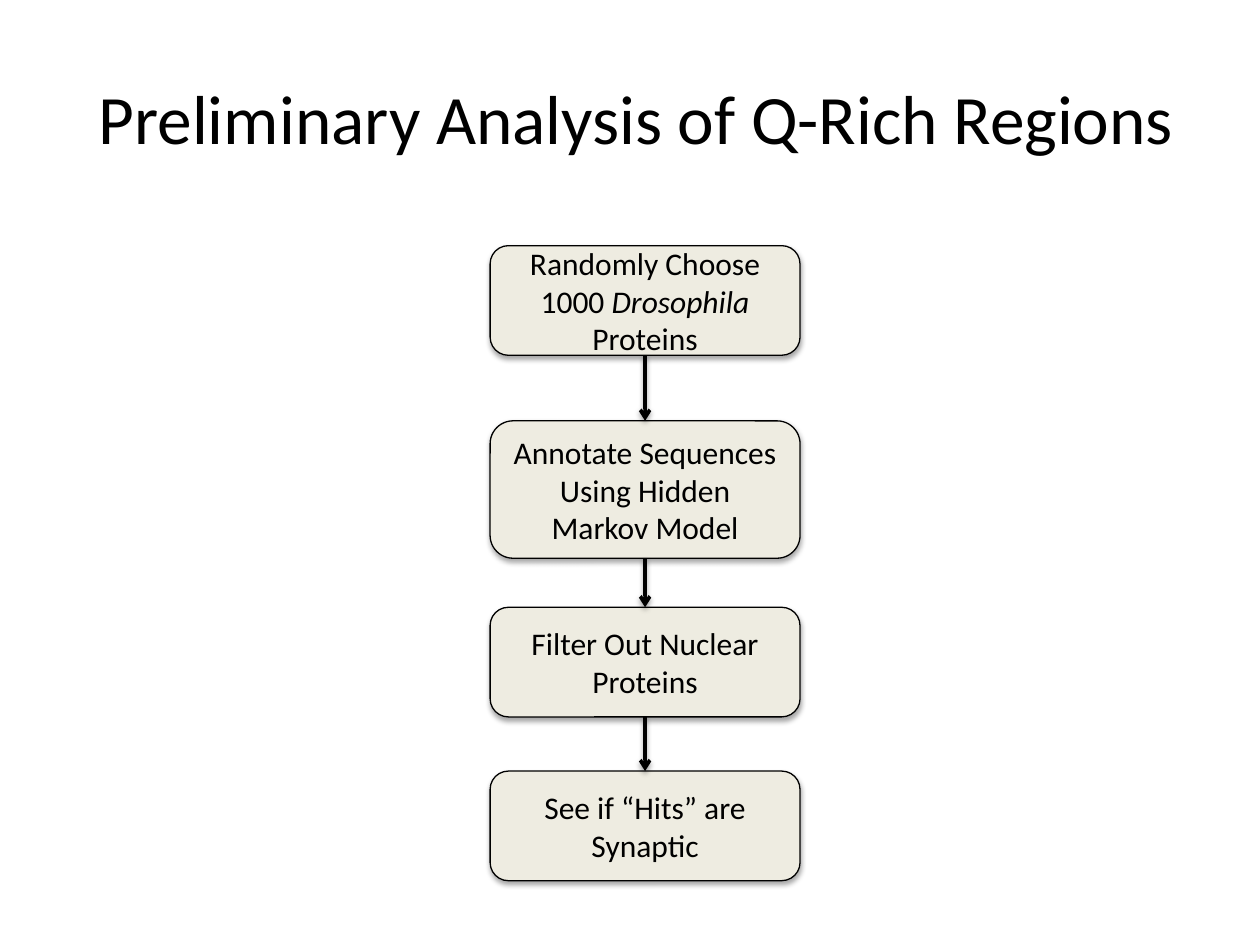
"""Build a slide with a four-step protein analysis flowchart."""
from itertools import pairwise

from lxml.etree import SubElement
from pptx import Presentation
from pptx.dml.color import RGBColor
from pptx.enum.shapes import MSO_CONNECTOR, MSO_SHAPE
from pptx.enum.text import MSO_ANCHOR, PP_ALIGN
from pptx.oxml.ns import qn
from pptx.util import Inches, Pt

TITLE = "Preliminary Analysis of Q-Rich Regions"
STEPS = [
    (1.95, 0.87, [("Randomly Choose 1000 ", False), ("Drosophila", True), (" Proteins", False)]),
    (3.34, 1.09, [("Annotate Sequences Using Hidden Markov Model", False)]),
    (4.82, 0.87, [("Filter Out Nuclear Proteins", False)]),
    (6.12, 0.87, [("See if “Hits” are Synaptic", False)]),
]
STEP_LEFT, STEP_WIDTH = 3.89, 2.46
BLACK, CREAM = "000000", "EEECE1"
BOTTOM_SITE, TOP_SITE = 2, 0


def color(value):
    return RGBColor.from_string(value)


def write_text(shape, runs, size):
    frame = shape.text_frame
    frame.word_wrap = True
    frame.vertical_anchor = MSO_ANCHOR.MIDDLE
    paragraph = frame.paragraphs[0]
    paragraph.alignment = PP_ALIGN.CENTER
    for text, italic in runs:
        run = paragraph.add_run()
        run.text = text
        run.font.name = "Calibri"
        run.font.size = Pt(size)
        run.font.italic = italic
        run.font.color.rgb = color(BLACK)


def add_shadow(effects, distance, opacity):
    shadow = SubElement(effects, qn("a:outerShdw"), blurRad=str(Pt(3.1)),
                        dist=str(Pt(distance)), dir="5400000", rotWithShape="0")
    shade = SubElement(shadow, qn("a:srgbClr"), val=BLACK)
    SubElement(shade, qn("a:alpha"), val=str(opacity * 1000))


def add_step(slide, top, height, runs):
    shape = slide.shapes.add_shape(
        MSO_SHAPE.ROUNDED_RECTANGLE, Inches(STEP_LEFT), Inches(top),
        Inches(STEP_WIDTH), Inches(height))
    shape.fill.solid()
    shape.fill.fore_color.rgb = color(CREAM)
    shape.line.color.rgb = color(BLACK)
    shape.line.width = Pt(0.75)
    shape.shadow.inherit = False
    add_shadow(shape.element.spPr.find(qn("a:effectLst")), 1.8, 35)
    write_text(shape, runs, 18)
    return shape


def add_arrow(slide, upper, lower):
    arrow = slide.shapes.add_connector(MSO_CONNECTOR.STRAIGHT, 0, 0, 0, 0)
    arrow.begin_connect(upper, BOTTOM_SITE)
    arrow.end_connect(lower, TOP_SITE)
    arrow.line.color.rgb = color(BLACK)
    arrow.line.width = Pt(2)
    properties = arrow.element.spPr
    SubElement(properties.find(qn("a:ln")), qn("a:tailEnd"), type="arrow")
    add_shadow(SubElement(properties, qn("a:effectLst")), 1.6, 38)


def main():
    presentation = Presentation()
    presentation.slide_width, presentation.slide_height = Inches(10), Inches(7.5)
    slide = presentation.slides.add_slide(presentation.slide_layouts[6])
    title = slide.shapes.add_textbox(Inches(0.29), Inches(0.3), Inches(9.52), Inches(1.25))
    write_text(title, [(TITLE, False)], 39.6)
    shapes = [add_step(slide, *step) for step in STEPS]
    for upper, lower in pairwise(shapes):
        add_arrow(slide, upper, lower)
    presentation.save("out.pptx")


if __name__ == "__main__":
    main()
